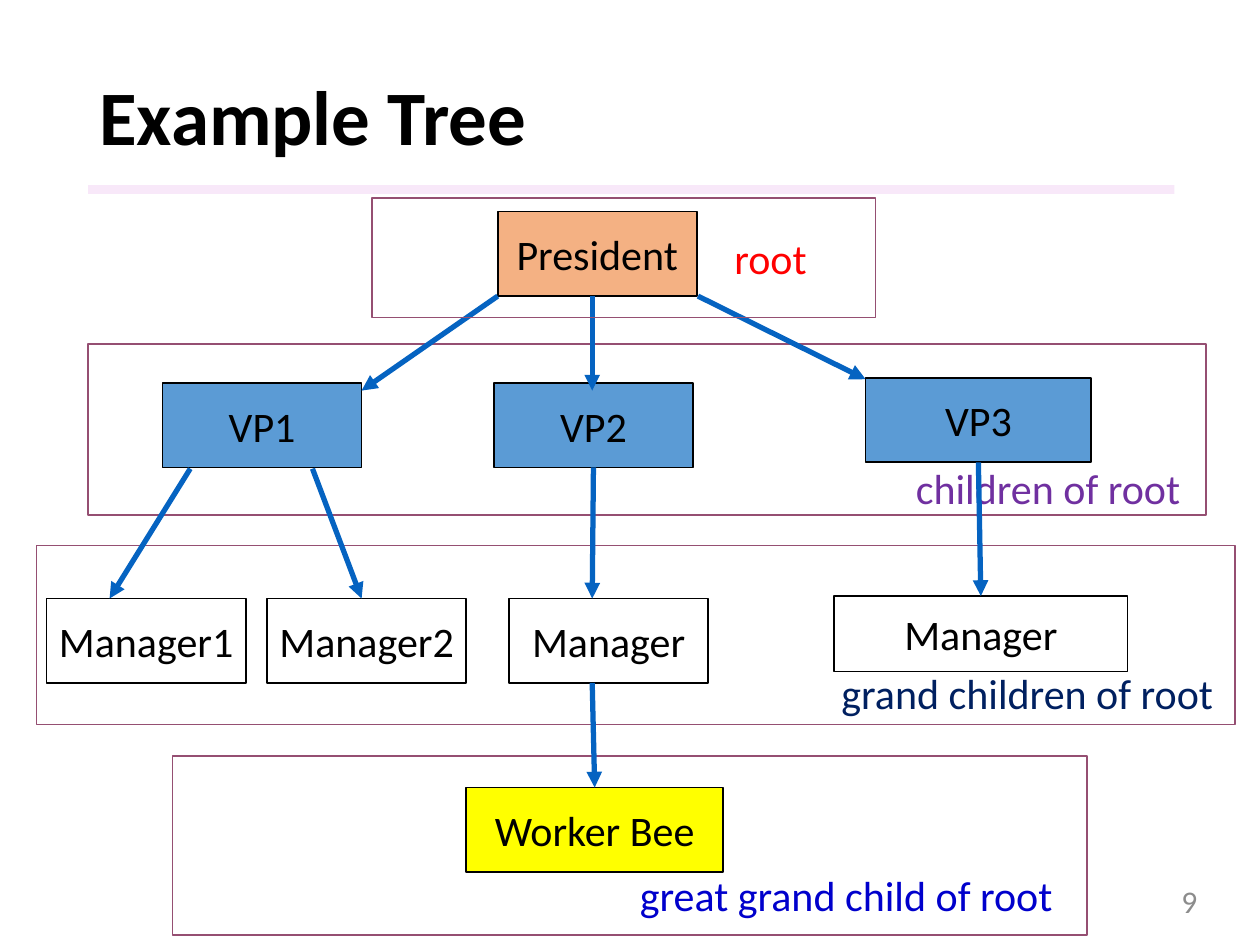
"""Build the Example Tree slide: an organisation chart with its levels framed."""
from lxml.etree import SubElement
from pptx import Presentation
from pptx.dml.color import RGBColor
from pptx.enum.shapes import MSO_CONNECTOR as Connector, MSO_SHAPE as Shape
from pptx.enum.text import MSO_ANCHOR as Anchor, MSO_AUTO_SIZE as AutoSize, PP_ALIGN as Align
from pptx.oxml.ns import qn
from pptx.util import Inches, Pt

BLACK, FRAME, ARROW, BAND = "000000", "954F72", "0563C1", "F3D2F4"
ORANGE, BLUE, WHITE, YELLOW = "F4B183", "5B9BD5", "FFFFFF", "FFFF00"

TITLE = ("Example Tree", (0.69, 0.4, 8.62, 1.11))
NUMBER = ("9", (7.35, 6.95, 2.25, 0.4))
RULE = (0.7, 1.47, 8.62, 0.07)

ROOT_LEVEL = ("root", "FF0000", (5.73, 1.8, 0.92, 0.5), (2.95, 1.57, 4, 0.95))
LOWER_LEVELS = [
    ("great grand child of root", "0000CC", (4.98, 6.85, 3.58, 0.51), (1.37, 6, 7.26, 1.42)),
    ("grand children of root", "002060", (6.58, 5.25, 3.17, 0.51), (0.29, 4.33, 9.51, 1.42)),
    ("children of root", "7030A0", (7.17, 3.62, 2.38, 0.51), (0.7, 2.73, 8.87, 1.36)),
]

NODES = {
    "president": ("President", ORANGE, (3.95, 1.68, 1.58, 0.67)),
    "vp1": ("VP1", BLUE, (1.29, 3.04, 1.58, 0.67)),
    "vp2": ("VP2", BLUE, (3.92, 3.04, 1.58, 0.67)),
    "vp3": ("VP3", BLUE, (6.87, 3, 1.79, 0.67)),
    "manager1": ("Manager1", WHITE, (0.37, 4.75, 1.58, 0.67)),
    "manager2": ("Manager2", WHITE, (2.12, 4.75, 1.58, 0.67)),
    "manager of vp2": ("Manager", WHITE, (4.04, 4.75, 1.58, 0.67)),
    "manager of vp3": ("Manager", WHITE, (6.62, 4.73, 2.33, 0.6)),
    "worker": ("Worker Bee", YELLOW, (3.7, 6.25, 2.04, 0.67)),
}

EDGES = [
    ((4.7, 2.35), (4.7, 3.1), None, None),
    ((3.95, 2.35), (2.87, 3.1), None, None),
    ((5.54, 2.35), (6.87, 3.01), None, None),
    ((1.51, 3.72), (0.87, 4.75), None, None),
    ((2.48, 3.72), (2.87, 4.75), None, None),
    ((4.72, 3.72), (4.7, 4.75), "vp2", None),
    ((7.77, 3.65), (7.79, 4.73), "vp3", "manager of vp3"),
    ((4.7, 5.42), (4.7, 6.25), None, "worker"),
]


def color(value):
    return RGBColor.from_string(value)


def assign(target, values):
    for name, value in values.items():
        setattr(target, name, value)


def write(box, text, ink=BLACK, size=24, bold=False, paragraph=None, frame=None):
    assign(box.text_frame, {"word_wrap": True, **(frame or {})})
    para = box.text_frame.paragraphs[0]
    assign(para, paragraph or {})
    span = para.add_run()
    span.text = text
    assign(span.font, {"name": "Calibri", "size": Pt(size), "bold": bold})
    span.font.color.rgb = color(ink)


def add_text(shapes, text, place, **style):
    box = shapes.add_textbox(*map(Inches, place))
    write(box, text, **style)


def add_rectangle(shapes, place, fill=None, line=None):
    box = shapes.add_shape(Shape.RECTANGLE, *map(Inches, place))
    box.shadow.inherit = False
    if fill:
        box.fill.solid()
        box.fill.fore_color.rgb = color(fill)
    else:
        box.fill.background()
    if line:
        box.line.color.rgb = color(line)
        box.line.width = Pt(1)
    else:
        box.line.fill.background()
    return box


def add_level(page, text, ink, label_place, frame_place):
    group = page.shapes.add_group_shape()
    add_text(group.shapes, text, label_place, ink=ink,
             frame={"auto_size": AutoSize.SHAPE_TO_FIT_TEXT})
    add_rectangle(group.shapes, frame_place, line=FRAME)


def add_node(page, text, fill, place):
    box = add_rectangle(page.shapes, place, fill, BLACK)
    write(box, text, paragraph={"alignment": Align.CENTER},
          frame={"vertical_anchor": Anchor.MIDDLE, "word_wrap": False})
    return box


def add_arrow(page, start, end, parent, child):
    arrow = page.shapes.add_connector(Connector.STRAIGHT, *map(Inches, start + end))
    if parent:
        arrow.begin_connect(parent, 2)
    if child:
        arrow.end_connect(child, 0)
    arrow.line.color.rgb = color(ARROW)
    arrow.line.width = Pt(3)
    SubElement(arrow.line._get_or_add_ln(), qn("a:tailEnd"), type="triangle")
    SubElement(arrow._element.spPr, qn("a:effectLst"))


def main():
    deck = Presentation()
    assign(deck, {"slide_width": Inches(10), "slide_height": Inches(7.5)})
    page = deck.slides.add_slide(deck.slide_layouts[6])

    rule = add_rectangle(page.shapes, RULE, BAND)
    tint = rule._element.spPr.find(qn("a:solidFill"))[0]
    SubElement(tint, qn("a:alpha"), val="50000")
    add_text(page.shapes, *TITLE, size=44, bold=True,
             paragraph={"line_spacing": 0.9}, frame={"vertical_anchor": Anchor.MIDDLE})
    add_text(page.shapes, *NUMBER, ink="8C8C8C", size=18,
             paragraph={"alignment": Align.RIGHT}, frame={"vertical_anchor": Anchor.MIDDLE})

    for level in LOWER_LEVELS:
        add_level(page, *level)
    boxes = {key: add_node(page, *node) for key, node in NODES.items()}
    for start, end, parent, child in EDGES:
        add_arrow(page, start, end, boxes.get(parent), boxes.get(child))
    add_level(page, *ROOT_LEVEL)

    deck.save("out.pptx")


if __name__ == "__main__":
    main()
